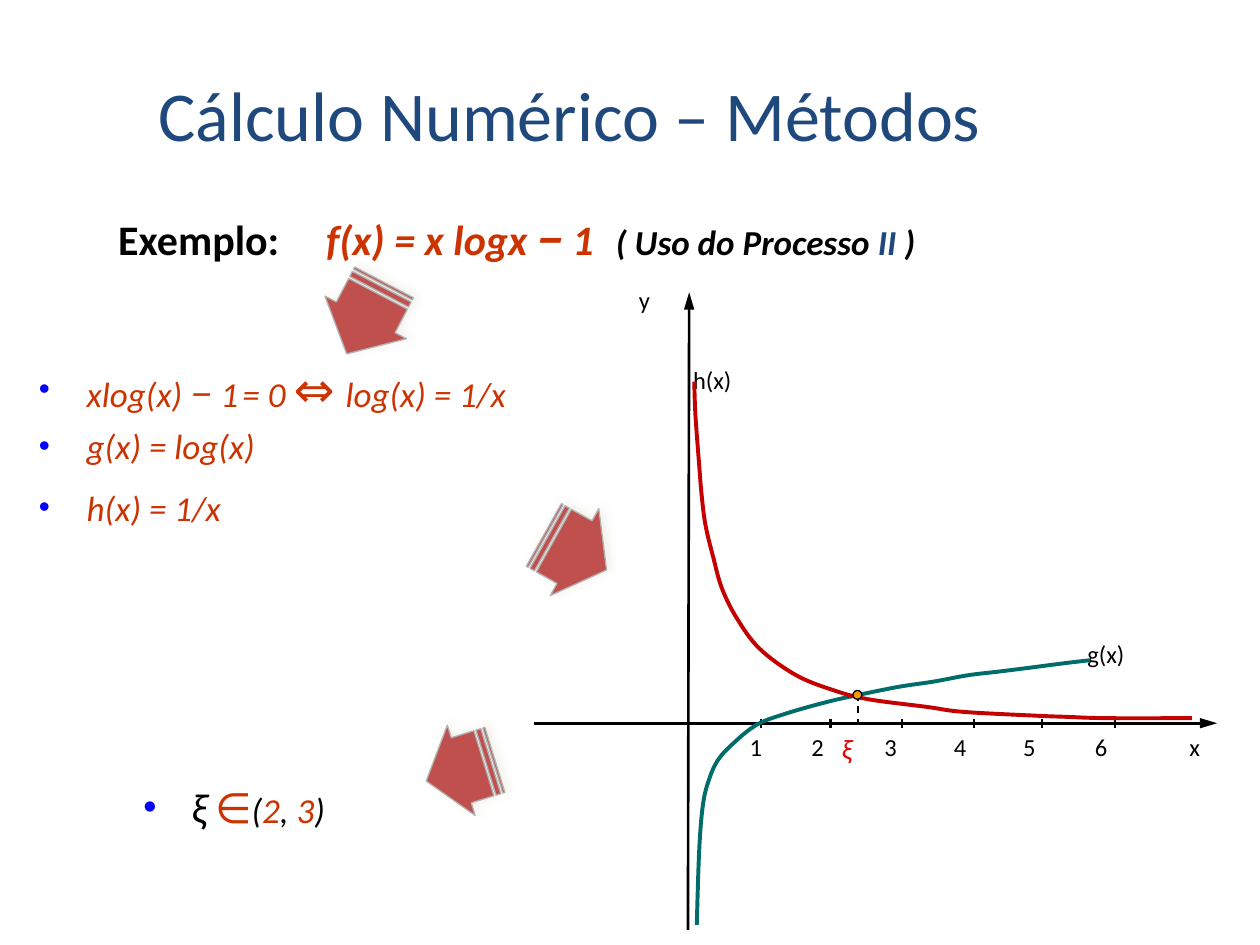
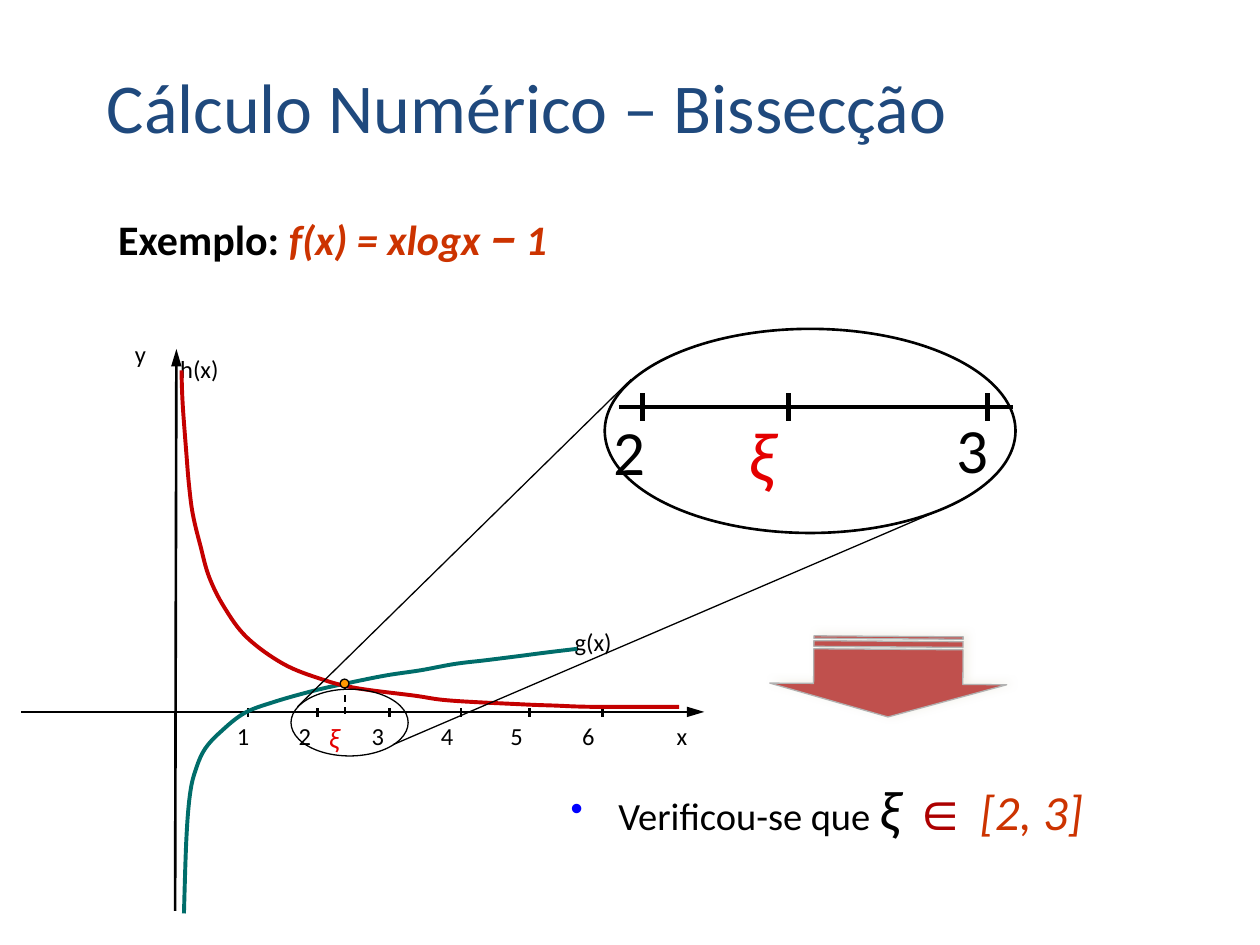
from dataclasses import dataclass
from typing import Optional

import pptx
import pptx.dml.color
import pptx.enum.dml
import pptx.enum.shapes
import pptx.enum.text
import pptx.oxml.ns
import pptx.util
from lxml import etree

PX = 9144
BLACK, NAVY, RUST, RED = "000000", "1F497D", "CC3300", "E40000"
BULLET_BLUE, TEAL, CRIMSON = "0000FF", "006D6A", "C40000"
BRICK, SILVER, ORANGE, CREAM = "C0504D", "B2B2B2", "FF9900", "EEECE1"
FONT = "Calibri"

G_CURVE = [(553, 734), (555, 674), (558, 638), (563, 618), (570, 603), (582, 590),
           (601, 575), (625, 566), (657, 557), (684, 551), (714, 545), (741, 541),
           (768, 536), (793, 533), (817, 530), (840, 527), (865, 524)]
H_CURVE = [(946, 570), (878, 570), (847, 569), (821, 568), (764, 565), (735, 561),
           (689, 555), (662, 548), (632, 536), (603, 515), (585, 491), (573, 467),
           (566, 442), (560, 417), (557, 394), (555, 370), (552, 330), (551, 303)]
TICKS = [604, 659, 716, 773, 827, 885]
TICK_LABELS = [595, 644, 702, 757, 812, 869]


@dataclass
class Run:
    text: str
    size: Optional[int] = None
    color: Optional[str] = None
    italic: Optional[bool] = None
    font: Optional[str] = None


@dataclass
class Paragraph:
    runs: list
    size: int = 14
    color: str = BLACK
    italic: Optional[bool] = None
    bold: Optional[bool] = None
    bullet: bool = False
    tabs: tuple = ()
    before: float = 0
    spacing: Optional[float] = None


@dataclass
class Label:
    left: int
    top: int
    text: str
    size: int = 14
    color: str = BLACK
    italic: bool = False
    width: int = 30
    height: int = 24


@dataclass
class Stroke:
    start: tuple
    end: tuple
    width: float = 1.5
    dashed: bool = False
    arrow: bool = False


@dataclass
class Oval:
    left: int
    top: int
    width: int
    height: int
    line: float = 0.75
    fill: Optional[str] = None


@dataclass
class StripedArrow:
    left: int
    top: int
    width: int
    height: int
    rotation: float
    points_left: bool = False
    shaft: float = 0.72
    neck: float = 0.49


def rgb(value: str) -> pptx.dml.color.RGBColor:
    return pptx.dml.color.RGBColor.from_string(value)


def child(parent, tag: str, **attributes):
    return etree.SubElement(parent, pptx.oxml.ns.qn(tag), attributes)


def outline(line, color: str, width: float) -> None:
    line.color.rgb = rgb(color)
    line.width = pptx.util.Pt(width)


def set_font(font, style) -> None:
    if style.size:
        font.size = pptx.util.Pt(style.size)
    if style.color:
        font.color.rgb = rgb(style.color)
    if style.italic is not None:
        font.italic = style.italic


def write_paragraph(paragraph, content: Paragraph) -> None:
    properties = paragraph._p.get_or_add_pPr()
    paragraph.space_before = pptx.util.Pt(content.before)
    if content.spacing:
        paragraph.line_spacing = content.spacing
    if content.bullet:
        properties.set("marL", str(38 * PX))
        properties.set("indent", str(-38 * PX))
        child(child(properties, "a:buClr"), "a:srgbClr", val=BULLET_BLUE)
        child(properties, "a:buSzPct", val="90000")
        child(properties, "a:buFont", typeface="Arial")
        child(properties, "a:buChar", char="•")
    if content.tabs:
        tab_list = child(properties, "a:tabLst")
        for position in content.tabs:
            child(tab_list, "a:tab", pos=str(position * PX), algn="l")
    set_font(paragraph.font, content)
    paragraph.font.bold = content.bold
    same_font = all(item.font is None for item in content.runs)
    if same_font:
        paragraph.font.name = FONT
    for item in content.runs:
        run = paragraph.add_run()
        run.text = item.text
        set_font(run.font, item)
        if not same_font:
            run.font.name = item.font or FONT


def add_text(slide, box: tuple, paragraphs: list, inset: bool = True, bottom: bool = False) -> None:
    frame = slide.shapes.add_textbox(*(value * PX for value in box)).text_frame
    frame.word_wrap = True
    if not inset:
        frame.margin_left = frame.margin_right = frame.margin_top = frame.margin_bottom = 0
    if bottom:
        frame.vertical_anchor = pptx.enum.text.MSO_ANCHOR.BOTTOM
    for index, content in enumerate(paragraphs):
        write_paragraph(frame.add_paragraph() if index else frame.paragraphs[0], content)


def add_title(slide, left: int, top: int, text: str) -> None:
    add_text(slide, (left, top, 852, 70), [Paragraph([Run(text)], 40, NAVY)], bottom=True)


def add_example(slide, width: int, height: int, runs: list, tabs: tuple = ()) -> None:
    add_text(slide, (84, 172, width, height),
             [Paragraph(runs, 24, bold=True, tabs=tabs, spacing=0.8)])


def add_label(slide, label: Label) -> None:
    content = Paragraph([Run(label.text)], label.size, label.color, label.italic)
    add_text(slide, (label.left, label.top, label.width, label.height), [content], inset=False)


def add_stroke(slide, stroke: Stroke) -> None:
    connector = slide.shapes.add_connector(
        pptx.enum.shapes.MSO_CONNECTOR.STRAIGHT,
        *(value * PX for value in stroke.start + stroke.end))
    outline(connector.line, BLACK, stroke.width)
    if stroke.dashed:
        connector.line.dash_style = pptx.enum.dml.MSO_LINE.DASH
    if stroke.arrow:
        child(connector.line._get_or_add_ln(), "a:headEnd", type="triangle", len="lg")
    child(connector._element.spPr, "a:effectLst")


def add_oval(slide, oval: Oval) -> None:
    shape = slide.shapes.add_shape(
        pptx.enum.shapes.MSO_SHAPE.OVAL,
        *(value * PX for value in (oval.left, oval.top, oval.width, oval.height)))
    shape.shadow.inherit = False
    if oval.fill:
        shape.fill.solid()
        shape.fill.fore_color.rgb = rgb(oval.fill)
    else:
        shape.fill.background()
    outline(shape.line, BLACK, oval.line)


def add_outline(slide, contours: list, closed: bool):
    scaled = [[(x * PX, y * PX) for x, y in contour] for contour in contours]
    builder = slide.shapes.build_freeform(*scaled[0][0], scale=1.0)
    for index, contour in enumerate(scaled):
        if index:
            builder.move_to(*contour[0])
        builder.add_line_segments(contour[1:], close=closed)
    shape = builder.convert_to_shape()
    shape.shadow.inherit = False
    return shape


def bend_segments(shape) -> None:
    segments = list(shape._element.iter(pptx.oxml.ns.qn("a:lnTo")))
    points = shape._element.iter(pptx.oxml.ns.qn("a:pt"))
    nodes = [(int(point.get("x")), int(point.get("y"))) for point in points]
    padded = [nodes[0], *nodes, nodes[-1]]
    for segment, a, b, c, d in zip(segments, padded, padded[1:], padded[2:], padded[3:]):
        leaving = [q + (r - p) / 6 for p, q, r in zip(a, b, c)]
        arriving = [r - (s - q) / 6 for q, r, s in zip(b, c, d)]
        curve = etree.Element(pptx.oxml.ns.qn("a:cubicBezTo"))
        for x, y in (leaving, arriving, c):
            child(curve, "a:pt", x=str(round(x)), y=str(round(y)))
        segment.getparent().replace(segment, curve)


def add_curve(slide, nodes: list, color: str) -> None:
    shape = add_outline(slide, [nodes], closed=False)
    bend_segments(shape)
    shape.fill.background()
    outline(shape.line, color, 2.25)


def add_striped_arrow(slide, arrow: StripedArrow) -> None:
    def place(along: float, across: float) -> tuple:
        if arrow.points_left:
            along = 1 - along
        return (arrow.left + along * arrow.width,
                arrow.top + (1 + across) / 2 * arrow.height)

    shaft, neck = arrow.shaft, arrow.neck
    head = [(neck, -1), (neck, -shaft), (0.16, -shaft), (0.16, shaft),
            (neck, shaft), (neck, 1), (1, 0)]
    stripes = [[(a, -shaft), (a, shaft), (b, shaft), (b, -shaft)]
               for a, b in ((0.06, 0.13), (0, 0.03))]
    contours = [[place(*point) for point in contour] for contour in [head, *stripes]]
    shape = add_outline(slide, contours, closed=True)
    shape.rotation = arrow.rotation
    shape.fill.solid()
    shape.fill.fore_color.rgb = rgb(BRICK)
    outline(shape.line, SILVER, 0.75)
    effects = shape._element.spPr.find(pptx.oxml.ns.qn("a:effectLst"))
    shadow = child(effects, "a:outerShdw", blurRad="63500", dist="29210",
                   dir="20100000", rotWithShape="0")
    child(child(shadow, "a:srgbClr", val=CREAM), "a:alpha", val="75000")


def add_graph(slide, dx: int, dy: int, axis_top: int, axis_bottom: int, y_label: Label) -> None:
    def move(points: list) -> list:
        return [(x + dx, y + dy) for x, y in points]

    def line(start: tuple, end: tuple, **style) -> None:
        add_stroke(slide, Stroke(*move([start, end]), **style))

    add_stroke(slide, Stroke((547 + dx, axis_top), (546 + dx, axis_bottom), arrow=True))
    line((966, 574), (424, 574), arrow=True)
    for x in TICKS:
        line((x, 571), (x, 578))
    labels = [Label(x, 581, str(number)) for number, x in enumerate(TICK_LABELS, 1)]
    labels += [Label(944, 581, "x"), Label(863, 507, "g(x)", width=48, height=28),
               Label(550, 290, "h(x)", width=48, height=28),
               Label(668, 581, "ξ", 16, RED, True)]
    for label in labels:
        label.left += dx
        label.top += dy
        add_label(slide, label)
    add_label(slide, y_label)
    add_curve(slide, move(G_CURVE), TEAL)
    line((681, 551), (681, 576), width=1, dashed=True)
    add_curve(slide, move(H_CURVE), CRIMSON)
    add_oval(slide, Oval(677 + dx, 548 + dy, 7, 7, fill=ORANGE))


def build_methods(slide) -> None:
    add_text(slide, (21, 280, 499, 143), [
        Paragraph([Run("xlog(x) "), Run("–", font="Roboto"), Run(" 1"), Run(" ", 10),
                   Run("= 0 "), Run("⇔ ", 28), Run("log(x) = 1/x")],
                  20, RUST, True, bullet=True),
        Paragraph([Run("g(x) = log(x)")], 20, RUST, True, bullet=True, before=4),
        Paragraph([Run("h(x) = 1/x")], 20, RUST, True, bullet=True, before=11)])
    add_example(slide, 843, 54, [
        Run("Exemplo:\t"), Run("f(x) = x logx ", color=RUST, italic=True),
        Run("–", color=RUST, italic=True, font="Roboto"),
        Run(" 1\t", color=RUST, italic=True),
        Run("( Uso do Processo ", 20, italic=True), Run("II ", 20, NAVY, True),
        Run(")", 20, italic=True)], tabs=(165, 395))
    add_title(slide, 116, 58, "Cálculo Numérico – Métodos")
    add_graph(slide, 0, 0, 232, 738, Label(507, 226, "y"))
    add_text(slide, (104, 615, 209, 57), [Paragraph(
        [Run("ξ", 24), Run(" "), Run("∈", 24, RUST, False), Run("("), Run("2", color=RUST),
         Run(","), Run(" 3", color=RUST), Run(")")], 20, italic=True, bullet=True)])
    for arrow in (StripedArrow(428, 399, 57, 79, 29.2),
                  StripedArrow(258, 216, 64, 73, 297.6, points_left=True),
                  StripedArrow(337, 574, 57, 75, 162.9)):
        add_striped_arrow(slide, arrow)


def build_bisection(slide) -> None:
    add_example(slide, 916, 92, [
        Run("Exemplo: "), Run("f(x) = xlogx ", color=RUST, italic=True),
        Run("–", color=RUST, italic=True, font="Roboto"),
        Run(" 1", color=RUST, italic=True)])
    add_striped_arrow(slide, StripedArrow(673, 443, 64, 188, 270.4, True, 0.63, 0.59))
    add_text(slide, (443, 610, 534, 57), [Paragraph(
        [Run("Verificou-se que ", 22), Run("ξ ", 32, italic=True),
         Run("∈", 32, "AC0000", True, "Arial"), Run(" [2, 3]", 28, RUST, True)],
        bullet=True)])
    add_graph(slide, -407, -9, 277, 723, Label(107, 269, "y"))
    add_oval(slide, Oval(231, 547, 93, 53))
    add_oval(slide, Oval(480, 261, 326, 162, line=1.5))
    for stroke in (Stroke((236, 561), (501, 301), 0.75),
                   Stroke((312, 591), (750, 403), 0.75),
                   Stroke((491, 323), (804, 323), 2.25),
                   *(Stroke((x, 312), (x, 334), 3) for x in (510, 626, 784))):
        add_stroke(slide, stroke)
    for label in (Label(594, 327, "ξ", 40, RED, True, 44, 56),
                  Label(487, 327, "2", 36, width=43, height=55),
                  Label(759, 326, "3", 36, width=48, height=52)):
        add_label(slide, label)
    add_title(slide, 75, 52, "Cálculo Numérico – Bissecção")


def main() -> None:
    presentation = pptx.Presentation()
    presentation.slide_width = 1000 * PX
    presentation.slide_height = 750 * PX
    for build in (build_methods, build_bisection):
        build(presentation.slides.add_slide(presentation.slide_layouts[6]))
    presentation.save("out.pptx")


if __name__ == "__main__":
    main()
